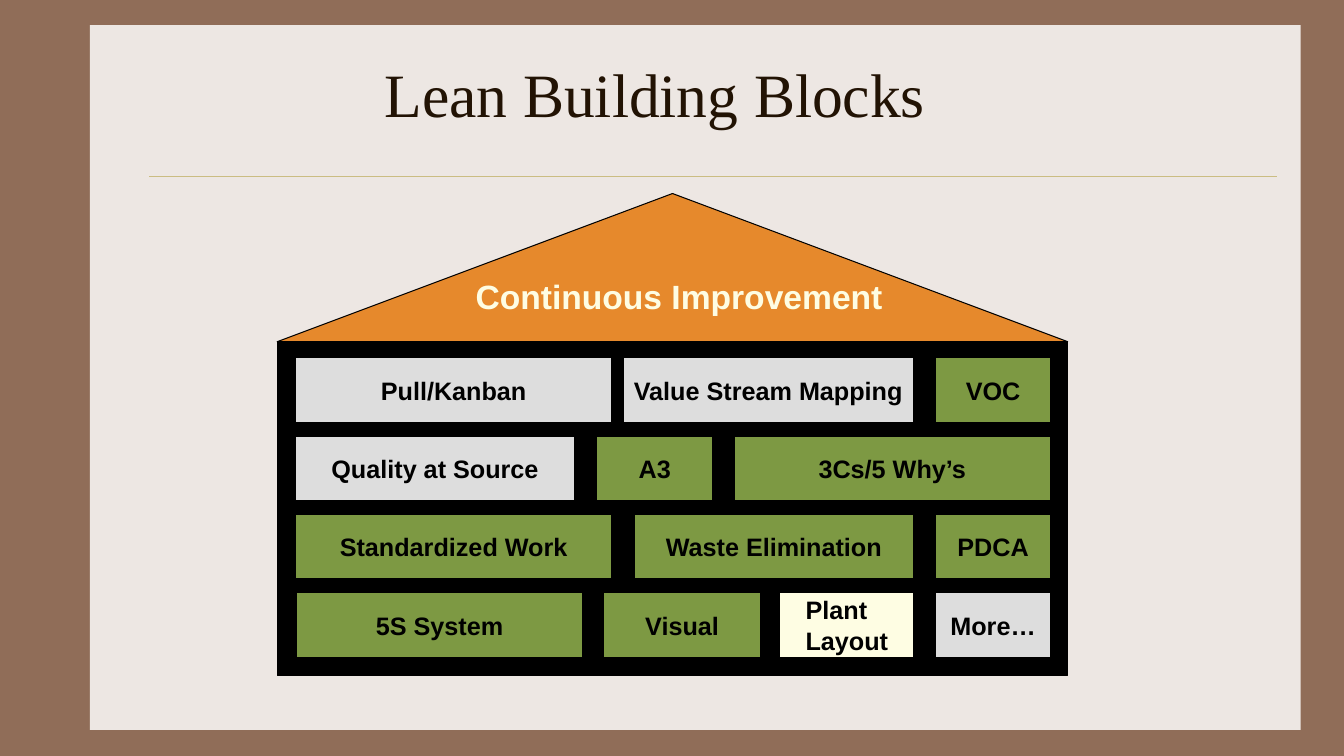
from pptx import Presentation, util as u
from pptx.dml.color import RGBColor
from pptx.enum import shapes as s, text as t
from pptx.oxml.ns import qn
from lxml import etree

GREEN, GREY, CREAM, BLACK = "7D9943", "DDDDDD", "FEFDE3", "000000"
TOP, HIGH, STEP = 3.54, 0.66, 2.33 / 3

# Each row of the house: (left, width, label, fill)
ROWS = [
    [(2.92, 3.16, "Pull/Kanban", GREY),
     (6.17, 2.9, "Value Stream Mapping", GREY),
     (9.27, 1.16, "VOC", GREEN)],
    [(2.92, 2.79, "Quality at Source", GREY),
     (5.91, 1.17, "A3", GREEN),
     (7.27, 3.16, "3Cs/5 Why’s", GREEN)],
    [(2.92, 3.16, "Standardized Work", GREEN),
     (6.28, 2.79, "Waste Elimination", GREEN),
     (9.27, 1.16, "PDCA", GREEN)],
    [(2.93, 2.86, "5S System", GREEN),
     (5.98, 1.57, "Visual", GREEN),
     (7.72, 1.35, "Plant Layout", CREAM),
     (9.27, 1.16, "More…", GREY)],
]


def paint(target, color):
    target.solid()
    target.fore_color.rgb = RGBColor.from_string(color)


def box(nest, kind, place, fill, edge=0):
    shape = nest.add_shape(kind, *map(u.Inches, place))
    shape.shadow.inherit = False
    paint(shape.fill, fill)
    if edge:
        paint(shape.line.fill, BLACK)
        shape.line.width = u.Pt(edge)
    else:
        shape.line.fill.background()
    return shape


def write(frame, words, size, color, font="Arial", bold=True,
          align=t.PP_ALIGN.CENTER):
    frame.vertical_anchor = t.MSO_ANCHOR.MIDDLE
    para = frame.paragraphs[0]
    para.alignment = align
    run = para.add_run()
    run.text = words
    run.font.name, run.font.size, run.font.bold = font, u.Pt(size), bold
    run.font.color.rgb = RGBColor.from_string(color)


def rule(nest, left, right, y, color, width):
    line = nest.add_connector(s.MSO_CONNECTOR.STRAIGHT,
                              *map(u.Inches, (left, y, right, y)))
    paint(line.line.fill, color)
    line.line.width = u.Pt(width)
    etree.SubElement(line.element.spPr, qn("a:effectLst"))


def brick(nest, left, top, width, label, fill):
    shape = box(nest, s.MSO_SHAPE.RECTANGLE, (left, top, width, HIGH),
                fill, 2.25)
    frame = shape.text_frame
    # The cream brick wraps its label, set in from the left
    wrap = fill == CREAM
    frame.word_wrap = wrap
    if wrap:
        frame.margin_left = u.Inches(0.27)
        frame.margin_top = frame.margin_bottom = 0
    align = t.PP_ALIGN.LEFT if wrap else t.PP_ALIGN.CENTER
    write(frame, label, 18, BLACK, align=align)


def house(slide):
    nest = slide.shapes.add_group_shape().shapes
    # Roof and wall
    box(nest, s.MSO_SHAPE.ISOSCELES_TRIANGLE, (2.75, 1.92, 7.84, 1.47),
        "E6892C", 0.75)
    box(nest, s.MSO_SHAPE.RECTANGLE, (2.75, 3.39, 7.84, 3.31), BLACK, 0.75)
    # Bricks
    for row, bricks in enumerate(ROWS):
        for left, width, label, fill in bricks:
            brick(nest, left, TOP + row * STEP, width, label, fill)
    # Roof label
    sign = nest.add_textbox(*map(u.Inches, (4.61, 2.69, 4.25, 0.49)))
    sign.text_frame.word_wrap = False
    write(sign.text_frame, "Continuous Improvement", 24, CREAM)


def main():
    deck = Presentation()
    deck.slide_width, deck.slide_height = u.Inches(13.33), u.Inches(7.5)
    slide = deck.slides.add_slide(deck.slide_layouts[5])

    # Backdrop
    paint(slide.background.fill, "906D58")
    box(slide.shapes, s.MSO_SHAPE.RECTANGLE, (0.89, 0.25, 12.01, 6.99),
        "EDE7E3")
    rule(slide.shapes, 1.48, 12.67, 1.75, "CBBD83", 0.25)

    # Title, raised above the backdrop
    title = slide.shapes.title
    title.left, title.top, title.width, title.height = map(
        u.Inches, (2.25, 0.42, 8.5, 1))
    write(title.text_frame, "Lean Building Blocks", 44, "221304",
          "Times New Roman", False)
    title.element.getparent().append(title.element)

    house(slide)
    deck.save("out.pptx")


main()
